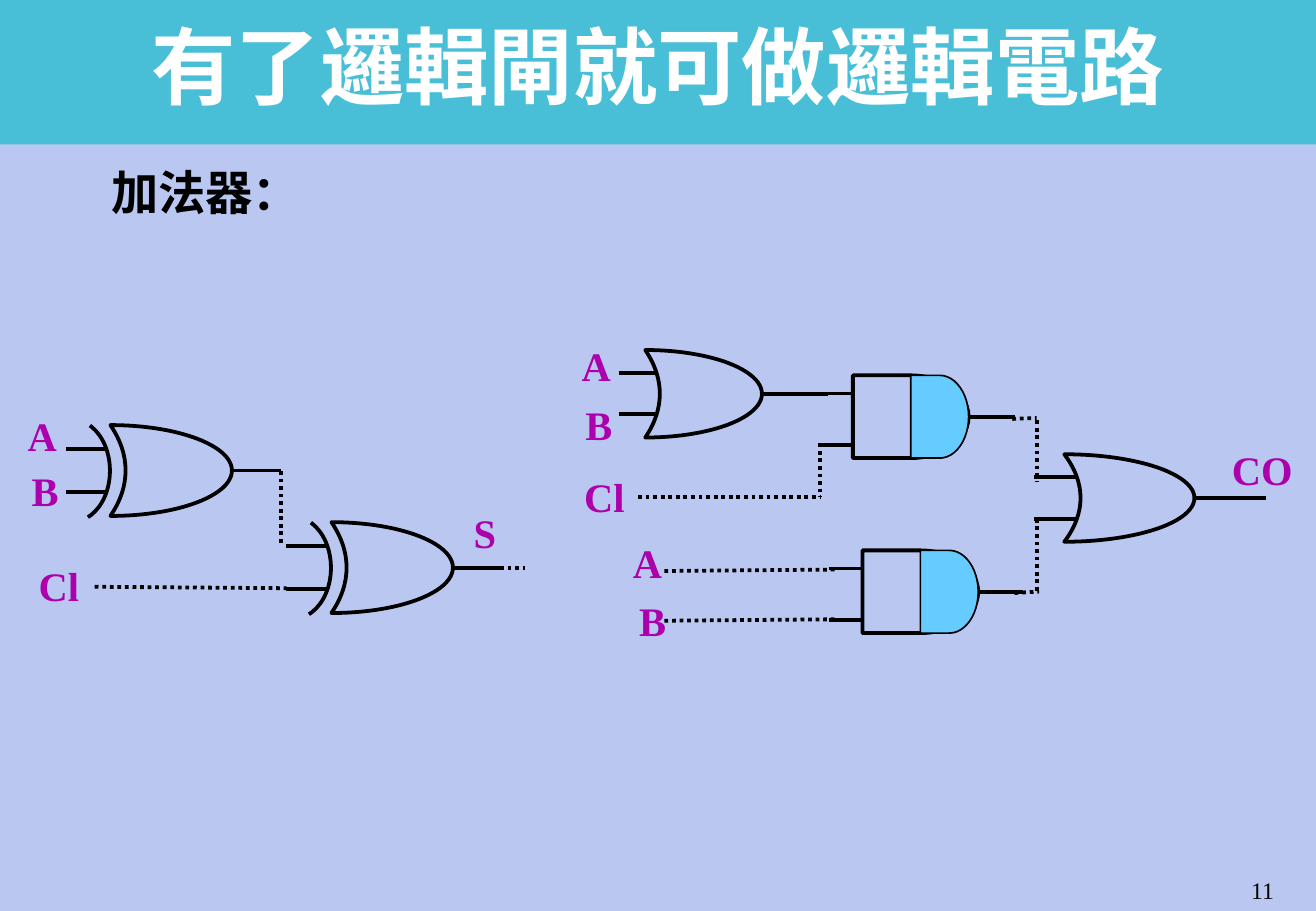
from dataclasses import dataclass
from typing import Any

from lxml import etree
from pptx import Presentation
from pptx import util as u
from pptx.dml.color import RGBColor
from pptx.enum import dml, shapes, text
from pptx.oxml import ns

BACKGROUND = RGBColor(0xBA, 0xC8, 0xF1)
BANNER = RGBColor(0x49, 0xBF, 0xD7)
BLACK = RGBColor(0, 0, 0)
WHITE = RGBColor(0xFF, 0xFF, 0xFF)
PURPLE = RGBColor(0xAD, 0x00, 0xAD)
SKY = RGBColor(0x66, 0xCC, 0xFF)

SLIDE_WIDTH, SLIDE_HEIGHT = 27.51, 19.05
WIRE_WIDTH = 2.25
LABEL_HEIGHT = 1.3
ARC_ANGLES = (174.544, 43.093)


@dataclass(frozen=True)
class GateKind:
    preset: Any
    width: float
    height: float
    input_offsets: tuple[float, float]  # below the top of the body
    input_reach: float  # end of the inputs, from the left of the body
    has_arc: bool = False


@dataclass(frozen=True)
class Gate:
    kind: GateKind
    left: float
    top: float
    input_start: float
    output_end: float


@dataclass(frozen=True)
class Wire:
    x1: float
    y1: float
    x2: float
    y2: float


@dataclass(frozen=True)
class TextItem:
    words: str
    left: float
    top: float
    width: float
    height: float = LABEL_HEIGHT
    size: float = 24
    font: str = "Times New Roman"
    color: RGBColor = PURPLE
    bold: bool = True
    align: Any = text.PP_ALIGN.LEFT
    anchor: Any = text.MSO_ANCHOR.TOP


PRESET = shapes.MSO_SHAPE
XOR = GateKind(PRESET.MOON, 2.54, 1.9, (0.5, 1.4), -0.1, True)
OR = GateKind(PRESET.MOON, 2.44, 1.83, (0.48, 1.34), 0.25)
WIDE_OR = GateKind(PRESET.MOON, 2.72, 1.83, (0.48, 1.35), 0.25)
AND = GateKind(PRESET.FLOWCHART_DELAY, 2.42, 1.73, (0.38, 1.45), 0)

GATES = [
    Gate(XOR, 2.31, 8.89, 1.37, 5.87),
    Gate(XOR, 6.93, 10.92, 5.97, 10.46),
    Gate(OR, 13.49, 7.32, 12.93, 17.3),
    Gate(WIDE_OR, 22.25, 9.5, 21.62, 26.47),
    Gate(AND, 17.83, 7.85, 17.12, 21.21),
    Gate(AND, 18.03, 11.51, 17.32, 21.39),
]

DOTTED_WIRES = [
    Wire(5.87, 9.85, 5.87, 11.4),
    Wire(1.98, 12.27, 5.99, 12.3),
    Wire(9.98, 11.88, 10.97, 11.88),
    Wire(13.89, 11.94, 17.5, 11.91),
    Wire(13.89, 12.98, 17.48, 12.95),
    Wire(13.34, 10.39, 17.15, 10.39),
    Wire(17.15, 9.27, 17.15, 10.39),
    Wire(21.67, 8.79, 21.67, 10.06),
    Wire(21.67, 10.85, 21.67, 12.42),
    Wire(21.16, 8.76, 21.67, 8.74),
    Wire(21.21, 12.4, 21.72, 12.37),
]

TEXTS = [
    TextItem("有了邏輯閘就可做邏輯電路", 2.06, 0.36, 23.39, 2.01, 50, "Quicksand",
             WHITE, align=text.PP_ALIGN.CENTER, anchor=text.MSO_ANCHOR.MIDDLE),
    TextItem("11", 25.76, 18.19, 1.27, 0.86, 14, color=BLACK, bold=False,
             align=text.PP_ALIGN.CENTER),
    TextItem("A", 0.33, 8.48, 0.84),
    TextItem("B", 0.41, 9.63, 0.79),
    TextItem("Cl", 0.56, 11.61, 1.7),
    TextItem("S", 9.65, 10.49, 1.04),
    TextItem("A", 11.91, 7.01, 0.84),
    TextItem("B", 11.99, 8.23, 0.79),
    TextItem("Cl", 11.96, 9.75, 1.7),
    TextItem("A", 12.98, 11.13, 0.84),
    TextItem("B", 13.11, 12.34, 0.79),
    TextItem("CO", 25.5, 9.19, 2.03),
]
HEADING = TextItem("加法器：", 2.08, 3.43, 23.39, 14.12, 28, "Quicksand", BLACK)


def apply(target: Any, values: dict[str, Any]) -> None:
    for name, value in values.items():
        setattr(target, name, value)


def add_body(container: Any, preset: Any, left: float, top: float, width: float,
             height: float, fill: RGBColor | None = None,
             line_width: float = WIRE_WIDTH) -> Any:
    """Add a preset shape; a line width of 0 leaves the outline out."""
    shape = container.add_shape(preset, u.Cm(left), u.Cm(top), u.Cm(width), u.Cm(height))
    shape.shadow.inherit = False
    if fill is None:
        shape.fill.background()
    else:
        shape.fill.solid()
        shape.fill.fore_color.rgb = fill
    if line_width:
        shape.line.color.rgb = BLACK
        shape.line.width = u.Pt(line_width)
    else:
        shape.line.fill.background()
    return shape


def add_wire(container: Any, wire: Wire, dash: Any = None) -> Any:
    connector = container.add_connector(
        shapes.MSO_CONNECTOR.STRAIGHT,
        *(u.Cm(value) for value in (wire.x1, wire.y1, wire.x2, wire.y2)))
    connector.line.color.rgb = BLACK
    apply(connector.line, {"width": u.Pt(WIRE_WIDTH), "dash_style": dash})
    properties = connector.element.find(ns.qn("p:spPr"))
    etree.SubElement(properties, ns.qn("a:effectLst"))
    return connector


def add_gate(slide: Any, gate: Gate) -> None:
    kind = gate.kind
    group = slide.shapes.add_group_shape().shapes
    body = add_body(group, kind.preset, gate.left, gate.top, kind.width, kind.height)
    for offset in kind.input_offsets:
        y = gate.top + offset
        add_wire(group, Wire(gate.input_start, y, gate.left + kind.input_reach, y))
    middle = gate.top + kind.height / 2
    output = add_wire(group, Wire(gate.left + kind.width, middle, gate.output_end, middle))
    if kind.preset == PRESET.MOON:
        body.adjustments[0] = 0.875
        body.element.spPr.find(ns.qn("a:xfrm")).set("flipH", "1")
    else:
        output.begin_connect(body, 3)
    if kind.has_arc:
        arc = add_body(group, PRESET.ARC, gate.left - 1.57, gate.top - 0.11, 1.56, 2.13)
        for index, angle in enumerate(ARC_ANGLES):
            arc.adjustments[index] = angle


def add_text(slide: Any, item: TextItem) -> Any:
    box = slide.shapes.add_textbox(u.Cm(item.left), u.Cm(item.top),
                                   u.Cm(item.width), u.Cm(item.height))
    apply(box.text_frame, {"word_wrap": True, "vertical_anchor": item.anchor})
    paragraph = box.text_frame.paragraphs[0]
    paragraph.alignment = item.align
    run = paragraph.add_run()
    run.text = item.words
    apply(run.font, {"size": u.Pt(item.size), "name": item.font, "bold": item.bold})
    run.font.color.rgb = item.color
    return paragraph


def main() -> None:
    presentation = Presentation()
    apply(presentation, {"slide_width": u.Cm(SLIDE_WIDTH), "slide_height": u.Cm(SLIDE_HEIGHT)})
    slide = presentation.slides.add_slide(presentation.slide_layouts[6])
    slide.background.fill.solid()
    slide.background.fill.fore_color.rgb = BACKGROUND
    add_body(slide.shapes, PRESET.RECTANGLE, 0, 0, SLIDE_WIDTH, 3.02, BANNER, 0)
    for gate in GATES:
        add_gate(slide, gate)
    for gate in GATES:
        if gate.kind is AND:
            half = AND.width / 2
            add_body(slide.shapes, AND.preset, gate.left + half, gate.top, half,
                     AND.height, SKY, 1)
    for item in TEXTS:
        add_text(slide, item)
    for wire in DOTTED_WIRES:
        add_wire(slide.shapes, wire, dml.MSO_LINE.ROUND_DOT)
    heading = add_text(slide, HEADING)
    apply(heading, {"line_spacing": 0.9, "space_before": u.Pt(4.2)})
    presentation.save("out.pptx")


if __name__ == "__main__":
    main()
